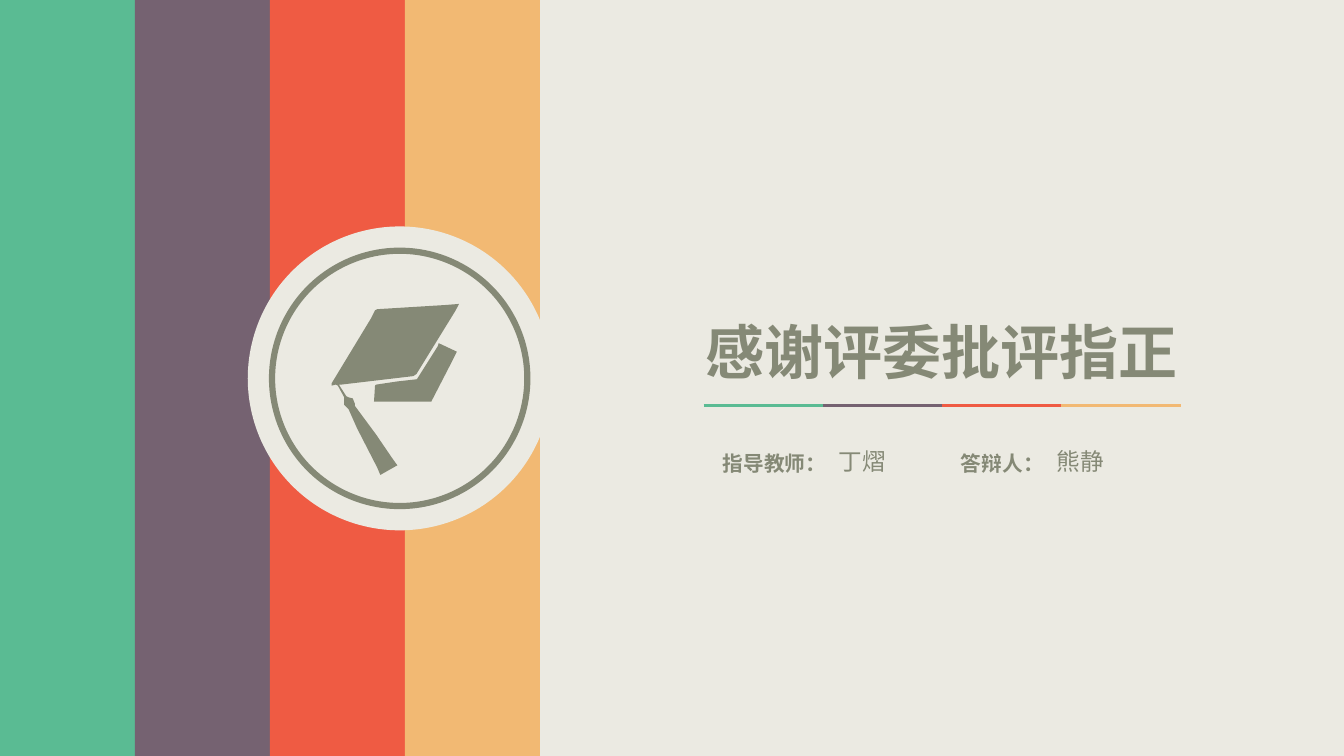
"""Build the closing slide of a thesis defence."""
from lxml.etree import SubElement
from pptx import Presentation
from pptx.dml.color import RGBColor
from pptx.enum.shapes import MSO_CONNECTOR, MSO_SHAPE
from pptx.enum.text import MSO_ANCHOR, MSO_AUTO_SIZE, PP_ALIGN
from pptx.oxml.ns import qn
from pptx.util import Cm, Pt

COLORS = {
    "paper": "EBEAE2", "olive": "858976", "green": "5ABB93",
    "purple": "756271", "red": "EF5B43", "amber": "F2B973",
}
BANDS = ("green", "purple", "red", "amber")
FONT = "Noto Sans CJK SC"
FRAME = {
    "margin_left": 0, "margin_right": 0, "margin_top": 0, "margin_bottom": 0,
    "word_wrap": True, "vertical_anchor": MSO_ANCHOR.MIDDLE,
    "auto_size": MSO_AUTO_SIZE.SHAPE_TO_FIT_TEXT,
}
TITLE = {"size": Pt(40), "bold": True, "name": FONT}
LABEL = {"size": Pt(14), "bold": True, "name": FONT}
PERSON = {"size": Pt(16), "bold": False, "name": FONT}

CAP_GRID = 121
CAP_BOARD = [
    (120, 0), (117, 6), (80, 66), (77, 68), (9, 76), (7, 76), (14, 87),
    (16, 88), (20, 89), (22, 94), (22, 96), (42, 123), (57, 145), (62, 152),
    (46, 161), (43, 154), (24, 117), (16, 99), (15, 98), (12, 95), (12, 90),
    (12, 88), (6, 77), (4, 76), (0, 77), (0, 75), (37, 14), (41, 6),
    (43, 5), (108, 1),
]
CAP_CROWN = [
    (40, 92), (41, 77), (42, 76), (62, 73), (80, 71), (81, 70), (100, 40),
    (101, 37), (118, 45), (112, 57), (95, 90), (94, 92), (92, 92),
]


def rgb(name):
    """Return the named palette colour."""
    return RGBColor.from_string(COLORS[name])


def apply(target, formats):
    """Set every attribute listed in a format dict."""
    for key, value in formats.items():
        setattr(target, key, value)


def paint(shape, color):
    """Give a shape a plain fill without line or shadow."""
    shape.shadow.inherit = False
    shape.fill.solid()
    shape.fill.fore_color.rgb = rgb(color)
    shape.line.fill.background()
    return shape


def write(slide, box, text, formats, align=PP_ALIGN.LEFT):
    """Place one line of olive text in a box."""
    frame = slide.shapes.add_textbox(*box).text_frame
    apply(frame, FRAME)
    line = frame.paragraphs[0]
    apply(line, {"alignment": align, "line_spacing": 1.16})
    run = line.add_run()
    run.text = text
    apply(run.font, formats)
    run.font.color.rgb = rgb("olive")
    SubElement(run.font._element, qn("a:ea"), typeface=FONT)


def draw_bands(slide, left, top, width, height):
    """Fill a box with four equal vertical bands."""
    pitch = width // len(BANDS)
    for index, color in enumerate(BANDS):
        band = slide.shapes.add_shape(
            MSO_SHAPE.RECTANGLE, left + index * pitch, top, pitch, height)
        paint(band, color)


def draw_cap(slide, left, top, width):
    """Draw a graduation cap with its tassel."""
    builder = slide.shapes.build_freeform(*CAP_BOARD[0], scale=width / CAP_GRID)
    builder.add_line_segments(CAP_BOARD[1:])
    builder.move_to(*CAP_CROWN[0])
    builder.add_line_segments(CAP_CROWN[1:])
    paint(builder.convert_to_shape(left, top), "olive")


def draw_badge(slide, left, top, size):
    """Draw the round badge with its ring and cap."""
    disc = slide.shapes.add_shape(MSO_SHAPE.OVAL, left, top, size, size)
    paint(disc, "paper")
    draw_cap(slide, left + Cm(2), top + Cm(1.85), Cm(3.07))
    inset = Cm(0.58)
    ring = slide.shapes.add_shape(
        MSO_SHAPE.OVAL, left + inset, top + inset,
        size - 2 * inset, size - 2 * inset)
    ring.shadow.inherit = False
    ring.fill.background()
    ring.line.color.rgb = rgb("olive")
    ring.line.width = Pt(4.2)


def draw_rule(slide, left, top, width):
    """Draw a line made of four coloured parts."""
    pitch = width // len(BANDS)
    for index, color in enumerate(BANDS):
        start = left + index * pitch
        part = slide.shapes.add_connector(
            MSO_CONNECTOR.STRAIGHT, start, top, start + pitch, top)
        part.line.color.rgb = rgb(color)
        part.line.width = Pt(2)
        SubElement(part._element.spPr, qn("a:effectLst"))


def draw_closing(slide, left, top, width):
    """Place the thanks, the rule and the names."""
    write(slide, (left - Cm(0.76), top, width + Cm(1.48), Cm(2.39)),
          "感谢评委批评指正", TITLE, PP_ALIGN.CENTER)
    draw_rule(slide, left, top + Cm(2.62), width)
    people = (
        ("指导教师：", Cm(0.46), "丁熠", Cm(3.23)),
        ("答辩人：", Cm(6.15), "熊静", Cm(8.44)),
    )
    for role, role_x, person, person_x in people:
        write(slide, (left + role_x, top + Cm(3.43), Cm(3.3), Cm(1.07)),
              role, LABEL)
        write(slide, (left + person_x, top + Cm(3.54), Cm(2.5), Cm(0.74)),
              person, PERSON)


def main():
    """Build and save the slide."""
    deck = Presentation()
    apply(deck, {"slide_width": Cm(32.11), "slide_height": Cm(18.06)})
    slide = deck.slides.add_slide(deck.slide_layouts[6])
    slide.background.fill.solid()
    slide.background.fill.fore_color.rgb = rgb("paper")
    draw_bands(slide, 0, 0, Cm(12.9), deck.slide_height)
    draw_badge(slide, Cm(5.92), Cm(5.41), Cm(7.26))
    draw_closing(slide, Cm(16.81), Cm(7.06), Cm(11.4))
    deck.save("out.pptx")


if __name__ == "__main__":
    main()
